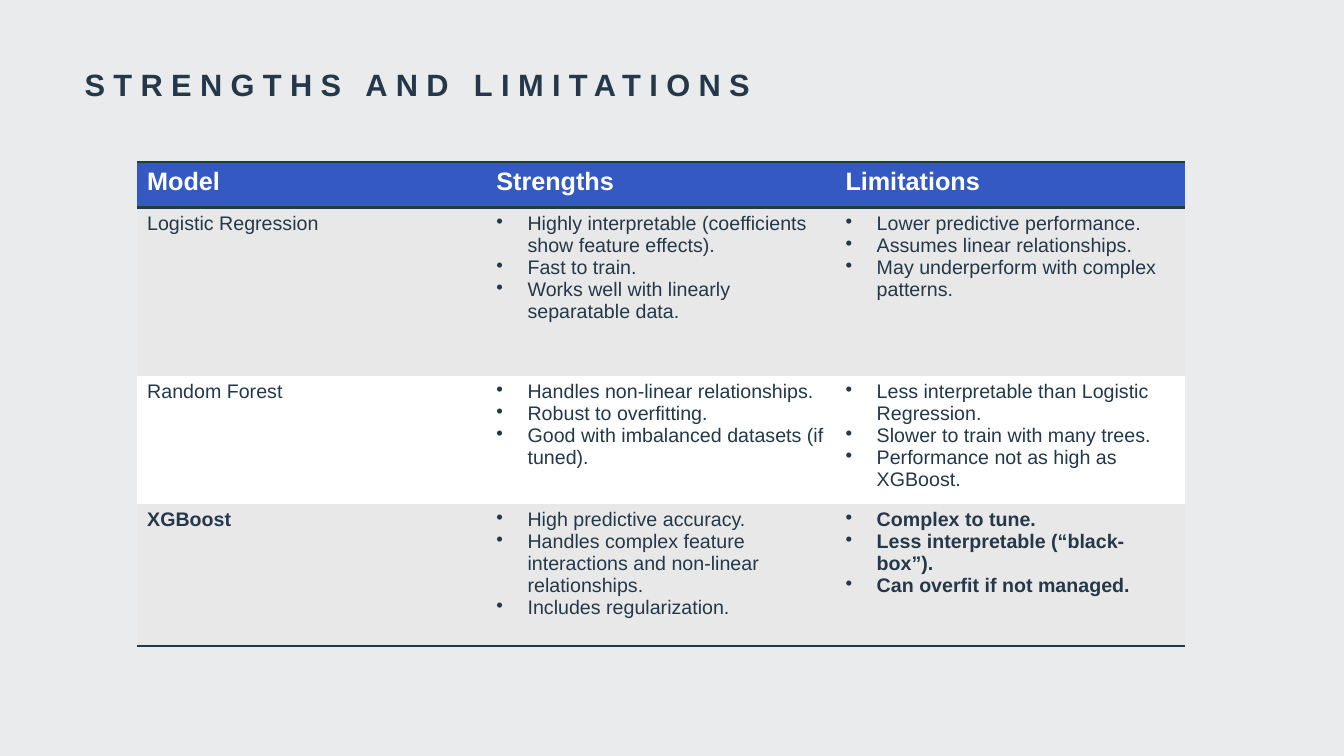
import dataclasses

import pptx
import pptx.dml.color
import pptx.enum.text
import pptx.oxml
import pptx.oxml.ns
import pptx.util


@dataclasses.dataclass(frozen=True)
class Theme:
    """Colours, type sizes and line weights of the slide."""
    background: str = "E9EBED"
    title: str = "25384A"
    ink: str = "243849"
    light: str = "FEFFFE"
    header: str = "3559C3"
    band: str = "E8E8E9"
    font: str = "Arial"
    title_size: int = 22
    header_size: int = 18
    body_size: int = 14
    title_spacing: int = 6
    rule_width: int = 2
    indent: float = 0.31


THEME = Theme()
WIDTH, HEIGHT = pptx.util.Inches(13.33), pptx.util.Inches(7.5)
TITLE_BOX = (0.74 / 13.33, 0.54 / 7.5, 9.4 / 13.33, 0.59 / 7.5)
TABLE_BOX = (1.36 / 13.33, 1.61 / 7.5, 10.39 / 13.33, 4.72 / 7.5)
ROW_WEIGHTS = (0.45, 1.67, 1.19, 1.41)
HEADINGS = ("Model", "Strengths", "Limitations")
MODELS = (
    ("Logistic Regression",
     ("Highly interpretable (coefficients show feature effects).",
      "Fast to train.",
      "Works well with linearly separatable data."),
     ("Lower predictive performance.",
      "Assumes linear relationships.",
      "May underperform with complex patterns.")),
    ("Random Forest",
     ("Handles non-linear relationships.",
      "Robust to overfitting.",
      "Good with imbalanced datasets (if tuned)."),
     ("Less interpretable than Logistic Regression.",
      "Slower to train with many trees.",
      "Performance not as high as XGBoost.")),
    ("XGBoost",
     ("High predictive accuracy.",
      "Handles complex feature interactions and non-linear relationships.",
      "Includes regularization."),
     ("Complex to tune.",
      "Less interpretable (“black-box”).",
      "Can overfit if not managed.")),
)
BOLD_CELLS = {(3, 0), (3, 2)}


def rgb(value):
    """Return the colour for a hex string."""
    return pptx.dml.color.RGBColor.from_string(value)


def place(box):
    """Turn shares of the slide into lengths."""
    left, top, width, height = box
    return (round(left * WIDTH), round(top * HEIGHT),
            round(width * WIDTH), round(height * HEIGHT))


def format_runs(paragraph, size, color, bold):
    """Apply the theme font to every run of a paragraph."""
    for run in paragraph.runs:
        run.font.name = THEME.font
        run.font.size = pptx.util.Pt(size)
        run.font.bold = bold
        run.font.color.rgb = rgb(color)


def add_bullet(paragraph):
    """Give a paragraph a hanging bullet."""
    properties = paragraph._p.get_or_add_pPr()
    indent = pptx.util.Inches(THEME.indent)
    properties.set("marL", str(indent))
    properties.set("indent", str(-indent))
    bullet = pptx.oxml.parse_xml(
        f'<a:buChar {pptx.oxml.ns.nsdecls("a")} char="•"/>')
    properties.append(bullet)


def set_borders(cell, ruled):
    """Rule the named sides of a cell and clear the others."""
    properties = cell._tc.get_or_add_tcPr()
    width = pptx.util.Pt(THEME.rule_width)
    for position, side in enumerate("LRTB"):
        paint = (f'<a:solidFill><a:srgbClr val="{THEME.ink}"/></a:solidFill>'
                 if side in ruled else "<a:noFill/>")
        properties.insert(position, pptx.oxml.parse_xml(
            f'<a:ln{side} {pptx.oxml.ns.nsdecls("a")} w="{width}">'
            f'{paint}</a:ln{side}>'))


def fill_cell(cell, content, size, color, bold, fill):
    """Write plain text or a bulleted list into a cell."""
    bulleted = not isinstance(content, str)
    cell.text_frame.text = "\n".join(content) if bulleted else content
    for paragraph in cell.text_frame.paragraphs:
        format_runs(paragraph, size, color, bold)
        if bulleted:
            add_bullet(paragraph)
    cell.fill.solid()
    cell.fill.fore_color.rgb = rgb(fill)


def add_title(slide, box):
    """Place the letter-spaced title in its box."""
    frame = slide.shapes.add_textbox(*place(box)).text_frame
    frame.word_wrap = True
    frame.vertical_anchor = pptx.enum.text.MSO_ANCHOR.MIDDLE
    frame.text = "STRENGTHS AND LIMITATIONS"
    heading = frame.paragraphs[0]
    heading.space_after = pptx.util.Pt(6)
    format_runs(heading, THEME.title_size, THEME.title, True)
    heading.runs[0].font._element.set("spc", str(THEME.title_spacing * 100))


def add_comparison(slide, box):
    """Place the model comparison table in its box."""
    rows = (HEADINGS,) + MODELS
    bounds = place(box)
    table = slide.shapes.add_table(len(rows), len(HEADINGS), *bounds).table
    for column in table.columns:
        column.width = bounds[2] // len(HEADINGS)
    for row, weight in zip(table.rows, ROW_WEIGHTS):
        row.height = round(bounds[3] * weight / sum(ROW_WEIGHTS))
    rules = {0: "TB", 1: "T", len(rows) - 1: "B"}
    for r, contents in enumerate(rows):
        for c, content in enumerate(contents):
            cell = table.cell(r, c)
            if r == 0:
                fill_cell(cell, content, THEME.header_size, THEME.light,
                          True, THEME.header)
            else:
                fill_cell(cell, content, THEME.body_size, THEME.ink,
                          (r, c) in BOLD_CELLS,
                          THEME.band if r % 2 else THEME.light)
            set_borders(cell, rules.get(r, ""))


def main():
    """Build and save the slide."""
    deck = pptx.Presentation()
    deck.slide_width, deck.slide_height = WIDTH, HEIGHT
    slide = deck.slides.add_slide(deck.slide_layouts[6])
    slide.background.fill.solid()
    slide.background.fill.fore_color.rgb = rgb(THEME.background)
    add_title(slide, TITLE_BOX)
    add_comparison(slide, TABLE_BOX)
    deck.save("out.pptx")


if __name__ == "__main__":
    main()
